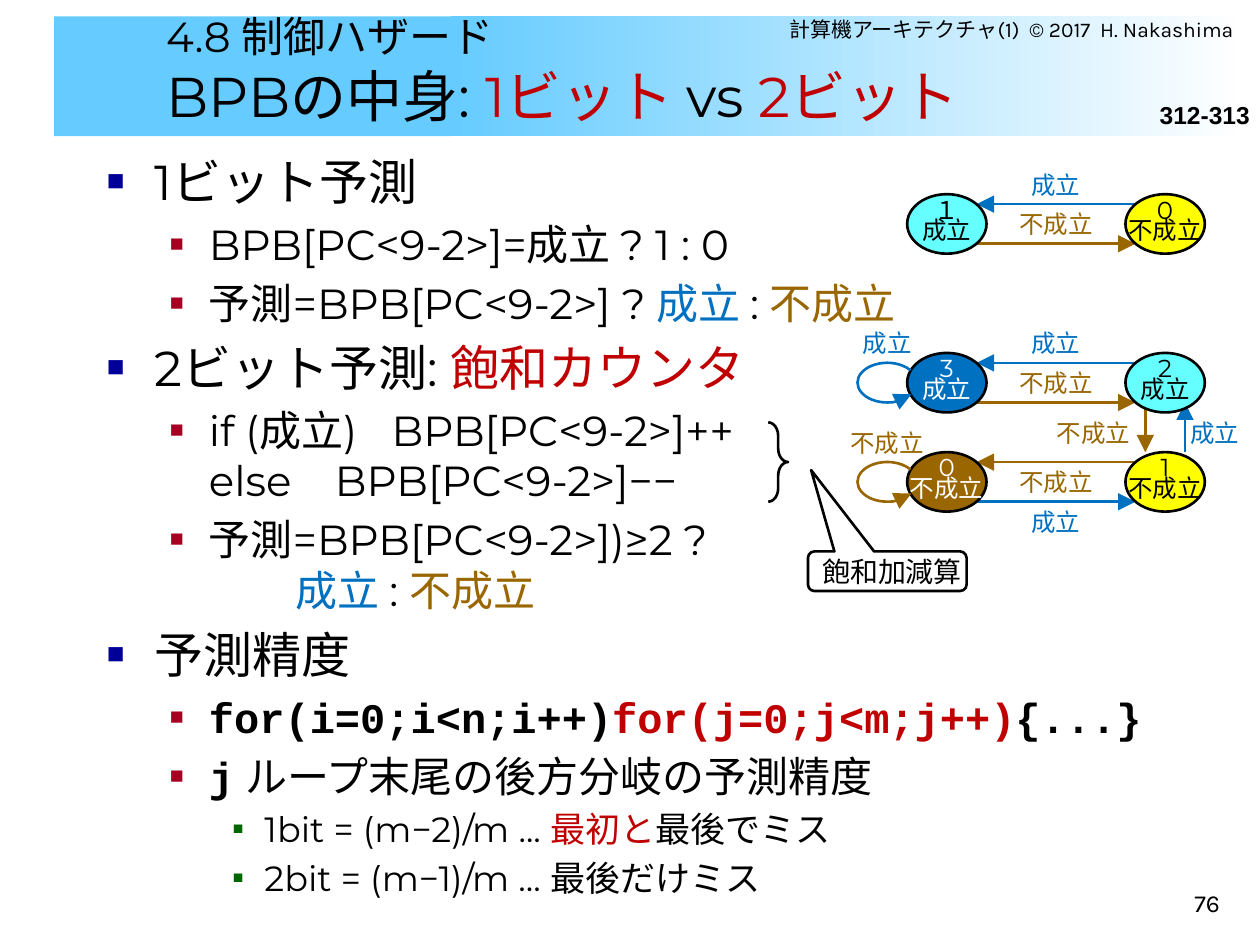
from pptx import Presentation, oxml, util as u
from pptx.dml.color import RGBColor
from pptx.enum import shapes, text
from pptx.oxml.ns import qn

theme = dict(
    sky="66CCFF", white="FFFFFF", ink="000000", red="C00000", blue="0070C0",
    brown="996600", aqua="66FFFF", gold="FFFF00",
    face="Montserrat", note="Karla", code="Courier New", page="Arial",
    head=32, top=28, sub=24, leaf=20, call=16, small=14, tiny=12, line=1.5)
# Level: type size, indent, hang, bullet colour, bullet percent
levels = [(theme["top"], 0.38, -0.38, "000099", 60),
          (theme["sub"], 0.81, -0.31, "A50021", 55),
          (theme["leaf"], 1.25, -0.25, "006600", 50)]

deck = Presentation()
deck.slide_width, deck.slide_height = u.Inches(10), u.Inches(7.5)
slide = deck.slides.add_slide(deck.slide_layouts[6])
cell = deck.slide_width / 100
# Grids: left, top and step, in cells of 1/100 of the slide width
PAGE, MAP = (0, 0, 1), (72, 16.2, 3.15)
MS = shapes.MSO_SHAPE
LEFT, MID, RIGHT = text.PP_ALIGN.LEFT, text.PP_ALIGN.CENTER, text.PP_ALIGN.RIGHT
space = 'xmlns:a="http://schemas.openxmlformats.org/drawingml/2006/main"'
tip = f'<a:tailEnd {space} type="triangle" w="lg" len="lg"/>'


def add(kind, x, y, w, h, grid=PAGE, fill=None, line=None):
    """Put a preset shape, or a text box when kind is None, on a grid."""
    gx, gy, step = grid
    box = [int(cell * v) for v in (gx + x * step, gy + y * step, w * step, h * step)]
    if kind is None:
        return slide.shapes.add_textbox(*box)
    shape = slide.shapes.add_shape(kind, *box)
    shape.shadow.inherit = False
    if fill:
        shape.fill.solid()
        shape.fill.fore_color.rgb = RGBColor.from_string(theme[fill])
    else:
        shape.fill.background()
    if line:
        shape.line.color.rgb = RGBColor.from_string(theme[line])
        shape.line.width = u.Pt(theme["line"])
    else:
        shape.line.fill.background()
    return shape


def write(shape, rows, size, face="face", align=LEFT, anchor="MIDDLE",
          pad=None, wrap=False, bold=False):
    """Fill a shape with rows of (words, colour, size, face) parts."""
    frame = shape.text_frame
    frame.word_wrap = wrap
    frame.vertical_anchor = text.MSO_ANCHOR[anchor]
    if pad:
        (frame.margin_left, frame.margin_top,
         frame.margin_right, frame.margin_bottom) = map(u.Inches, pad)
    for n, row in enumerate(rows):
        para = frame.paragraphs[0] if n == 0 else frame.add_paragraph()
        para.alignment = align
        for words, tint, *more in row:
            if words == "\v":
                para.add_line_break()
                continue
            run = para.add_run()
            run.text = words
            run.font.size = u.Pt(more[0] if more else size)
            run.font.name = theme[more[1] if len(more) > 1 else face]
            run.font.bold = bold or more[1:] == ["code"]
            run.font.color.rgb = RGBColor.from_string(theme[tint])
    return frame.paragraphs


# Title band
fade = add(MS.RECTANGLE, 35.8, 1.3, 63, 9.5, fill="sky")
fade.fill.gradient()
fade.fill.gradient_angle = 0
for stop, tint, pos in zip(fade.fill.gradient_stops, ("sky", "white"), (0, 1)):
    stop.color.rgb = RGBColor.from_string(theme[tint])
    stop.position = pos
add(MS.RECTANGLE, 4.3, 1.3, 31.5, 9.5, fill="sky")
write(add(None, 12.2, 1.3, 85.1, 9.4),
      [[("4.8 制御ハザード", "ink", theme["sub"]), ("\v", "ink"), ("BPBの中身: ", "ink"),
        ("1ビット ", "red"), ("vs ", "ink"), ("2ビット", "red")]],
      theme["head"], anchor="BOTTOM", wrap=True)

# Outline: level, bullet shown, tab stop, parts
yes, no = ("成立 ", "blue"), ("不成立", "brown")
code = (theme["sub"], "code")
outline = [
    (0, True, None, [("1ビット予測", "ink")]),
    (1, True, None, [("BPB[PC<9-2>]=成立 ? 1 : 0", "ink")]),
    (1, True, None, [("予測=BPB[PC<9-2>] ? ", "ink"), yes, (": ", "ink"), no]),
    (0, True, None, [("2ビット予測: ", "ink"), ("飽和カウンタ", "red")]),
    (1, True, 2.26, [("if (成立)\tBPB[PC<9-2>]++", "ink")]),
    (1, False, 2.26, [("\telse\tBPB[PC<9-2>]−−", "ink")]),
    (1, True, None, [("予測=BPB[PC<9-2>])≥2 ?", "ink")]),
    (1, False, None, [yes, (": ", "ink"), no]),
    (0, True, None, [("予測精度", "ink")]),
    (1, True, None, [("for(i=0;i<n;i++)", "ink", *code), ("for(j=0;j<m;j++)", "red", *code),
                     ("{...}", "ink", *code)]),
    (1, True, None, [("j", "ink", *code), (" ループ末尾の後方分岐の予測精度", "ink")]),
    (2, True, None, [("1bit = (m−2)/m ... ", "ink"), ("最初と", "red"), ("最後でミス", "ink")]),
    (2, True, None, [("2bit = (m−1)/m ... 最後だけミス", "ink")]),
]
body = write(add(None, 7.5, 11.5, 90.5, 59.1), [item[3] for item in outline],
             theme["sub"], anchor="TOP", wrap=True)
for para, (level, dot, tab, parts) in zip(body, outline):
    size, left, hang, tint, share = levels[level]
    if not dot and not tab:
        left, hang = 1.5, 0
    para.level = level
    for run in para.runs:
        run.font.size = u.Pt(size)
    props = para._p.get_or_add_pPr()
    props.set("marL", str(u.Inches(left)))
    props.set("indent", str(u.Inches(hang)))
    bits = ['<a:buNone {}/>']
    if dot:
        bits = ['<a:spcBef {}><a:spcPct val="20000"/></a:spcBef>',
                f'<a:buClr {{}}><a:srgbClr val="{tint}"/></a:buClr>',
                f'<a:buSzPct {{}} val="{share * 1000}"/>',
                '<a:buFont {} typeface="Arial"/>', '<a:buChar {} char="■"/>']
    if tab:
        bits.append(f'<a:tabLst {{}}><a:tab pos="{u.Inches(tab)}" algn="l"/></a:tabLst>')
    for bit in bits:
        props.append(oxml.parse_xml(bit.format(space)))

# Page number, credit line and page reference
write(add(None, 77, 68.3, 20.8, 5), [[("76", "ink")]], theme["small"], "note",
      RIGHT, "BOTTOM", wrap=True)
write(add(None, 58.9, 1.3, 40, 4), [[("計算機アーキテクチャ(1)  © 2017  H. Nakashima", "ink")]],
      theme["tiny"], "note", RIGHT, "TOP", (0.1, 0, 0.1, 0.05))
write(add(None, 89.4, 7.6, 10.6, 3.1), [[("312-313", "ink")]], theme["small"], "page",
      RIGHT, "BOTTOM", (0.08, 0, 0.08, 0.04), bold=True)

# State changes: from x, y to x, y, colour
near, far = 1.75, 5.75
moves = [(far, 0, near, 0, "blue"), (near, 1, far, 1, "brown"),
         (far, 4, near, 4, "blue"), (near, 5, far, 5, "brown"),
         (far, 6.5, near, 6.5, "brown"), (near, 7.5, far, 7.5, "blue"),
         (6, 5, 6, 6.25, "brown"), (7, 6.25, 7, 5, "blue")]
gx, gy, step = MAP
for x1, y1, x2, y2, tint in moves:
    ends = [int(cell * v) for v in (gx + x1 * step, gy + y1 * step,
                                    gx + x2 * step, gy + y2 * step)]
    arrow = slide.shapes.add_connector(shapes.MSO_CONNECTOR.STRAIGHT, *ends)
    arrow.line.color.rgb = RGBColor.from_string(theme[tint])
    arrow.line.width = u.Pt(theme["line"])
    arrow.line._get_or_add_ln().append(oxml.parse_xml(tip))
    arrow._element.spPr.append(oxml.parse_xml(f'<a:effectLst {space}/>'))

# States: column, row, digit, word, fill, text colour
states = [(0, 0, "１", "成立", "aqua", "ink"), (5.5, 0, "0", "不成立", "gold", "ink"),
          (0, 4, "3", "成立", "blue", "white"), (5.5, 4, "2", "成立", "aqua", "ink"),
          (0, 6.5, "0", "不成立", "brown", "white"), (5.5, 6.5, "1", "不成立", "gold", "ink")]
for x, y, digit, word, fill, tint in states:
    node = add(MS.OVAL, x, y - 0.25, 2, 1.5, MAP, fill, "ink")
    for para in write(node, [[(digit, tint)], [(word, tint)]], theme["small"], align=MID):
        para.line_spacing = u.Pt(12)

# Loops back to the same state
for y, tint in ((4, "blue"), (6.5, "brown")):
    loop = add(MS.ARC, -1.25, y, 1.5, 1, MAP, line=tint)
    loop.adjustments[0], loop.adjustments[1] = 124.89, 92.524
    loop._element.spPr.find(qn("a:xfrm")).set("flipH", "1")
    loop.line._get_or_add_ln().append(oxml.parse_xml(tip))

# Labels: column, row, taken or not, alignment; the longer word gets a wider box
labels = [(3, -1, True, MID), (2.5, 0, False, MID), (3, 3, True, MID), (2.5, 4, False, MID),
          (2.5, 6.5, False, MID), (3, 7.5, True, MID), (-1.25, 3, True, MID),
          (-1.75, 5.5, False, MID), (3.25, 5.25, False, RIGHT), (7, 5.25, True, LEFT)]
for x, y, taken, align in labels:
    part, wide = (("成立", "blue"), 1.5) if taken else (no, 2.5)
    write(add(None, x, y, wide, 1, MAP), [[part]], theme["small"], align=align,
          pad=(0.04, 0, 0.04, 0))

# Brace and callout
brace = add(MS.RIGHT_BRACE, -3.5, 5.5, 0.5, 2, MAP, line="ink")
brace.adjustments[0] = 0.68
call = add(MS.ROUNDED_RECTANGULAR_CALLOUT, -2.5, 8.75, 4, 1, MAP, "white", "ink")
call.adjustments[0], call.adjustments[1] = -0.48, -2.55
write(call, [[("飽和加減算", "ink")]], theme["call"])

deck.save("out.pptx")
